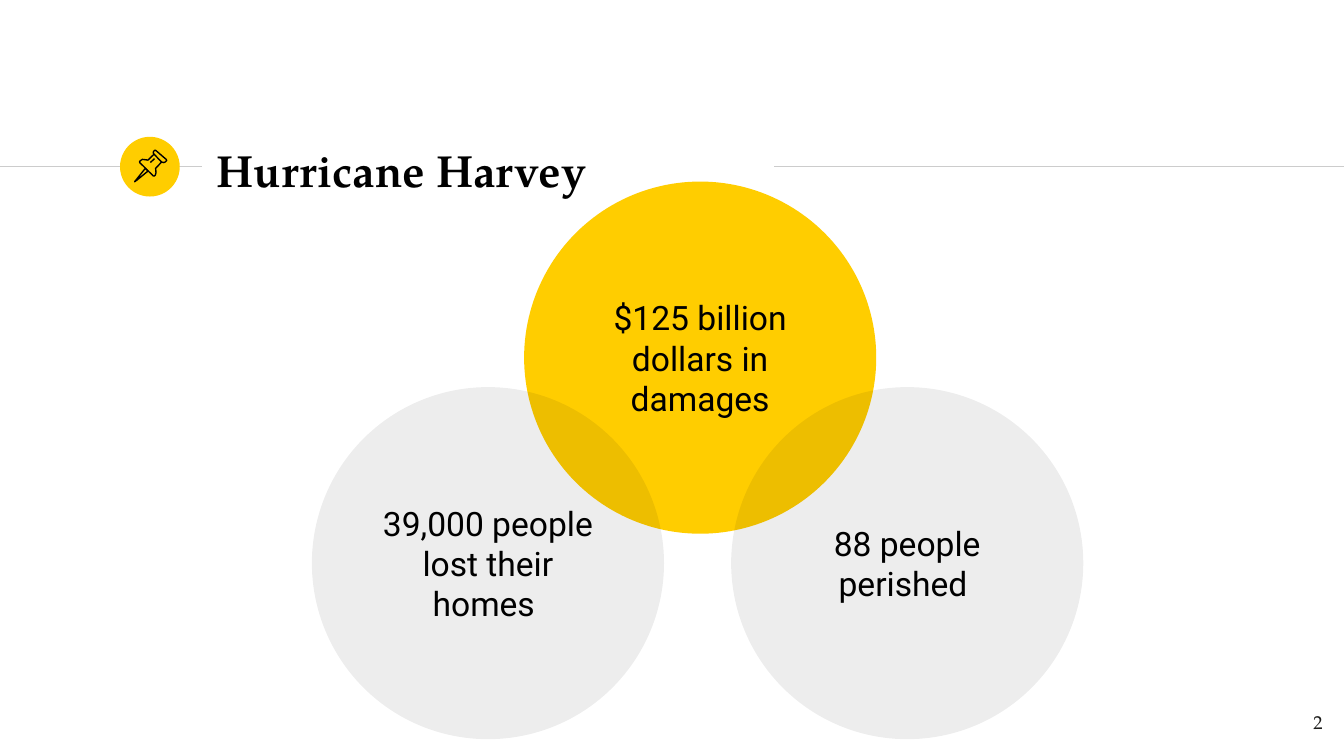
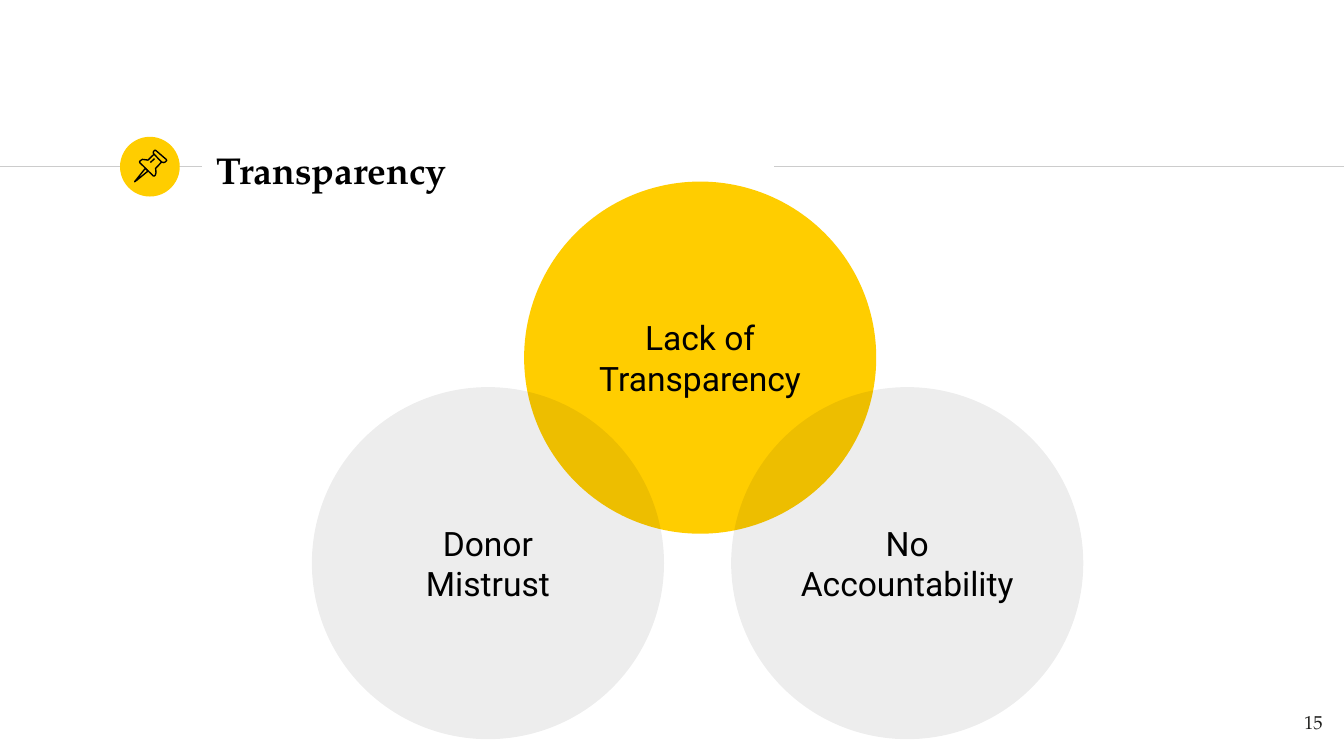
from dataclasses import dataclass

from lxml import etree
from pptx import Presentation
from pptx import util as u
from pptx.dml.color import RGBColor
from pptx.enum import shapes, text
from pptx.oxml.ns import qn


@dataclass(frozen=True)
class Theme:
    gold: str = "FFCD00"
    black: str = "000000"
    rule: str = "CCCCCC"
    ink: str = "1D1D1B"
    serif: str = "TeX Gyre Pagella"
    sans: str = "Roboto"
    body: float = 18
    small: float = 10
    thin: float = 0.75
    inset: float = 7.2
    tint: int = 7


T = Theme()
WIDTH, HEIGHT = 720, 405
AXIS = 89.3
BADGE = 32
CIRCLE = 188.64

# Circle centres: top, left, right
CENTRES = [(375.1, 191.6), (261.4, 301.7), (486, 301.7)]

# Pushpin outlines in points, each with a flag for a closed outline
PIN = [
    ([(77.9, 90.2), (72.8, 96.6), (72.1, 97.4), (73.3, 96.6), (79.3, 91.7)], True),
    ([(82.6, 82.6), (86.6, 86.8), (87.8, 87.1), (88.7, 86.7), (89.3, 86),
      (89.2, 85.5), (83.5, 80.6), (83, 80.5), (82.3, 81.1), (82.1, 81.9)], True),
    ([(82.6, 82.6), (79.3, 85.8), (78, 85.6), (76.3, 85.4), (75.2, 86.1),
      (74.8, 86.6), (74.9, 87.1), (82.2, 94.3), (82.7, 94.3), (83.3, 93.7),
      (83.6, 92.4), (83.4, 90.2), (86.6, 86.8)], False),
    ([(80.6, 87.1), (82.8, 85)], False),
]

SLIDES = [
    ("Hurricane Harvey", 24, "2",
     ["$125 billion dollars in damages",
      "39,000 people lost their homes ",
      "88 people perished "]),
    ("Transparency", 20, "15",
     ["Lack of Transparency", "Donor Mistrust", "No Accountability"]),
]


def color(code):
    return RGBColor.from_string(code)


def write(shape, words, size, face, hue, align, anchor, bold=False):
    frame = shape.text_frame
    frame.text = words
    frame.word_wrap = True
    frame.auto_size = text.MSO_AUTO_SIZE.NONE
    frame.vertical_anchor = anchor
    frame.margin_left = frame.margin_right = u.Pt(T.inset)
    frame.margin_top = frame.margin_bottom = u.Pt(T.inset)
    para = frame.paragraphs[0]
    para.alignment = align
    font = para.runs[0].font
    font.name, font.size, font.bold = face, u.Pt(size), bold
    font.color.rgb = color(hue)


def add_rule(slide, start, end):
    line = slide.shapes.add_connector(
        shapes.MSO_CONNECTOR.STRAIGHT,
        u.Pt(start), u.Pt(AXIS), u.Pt(end), u.Pt(AXIS))
    line.line.color.rgb = color(T.rule)
    line.line.width = u.Pt(T.thin)
    etree.SubElement(line._element.spPr, qn("a:effectLst"))


def add_disc(slide, x, y, size, hue, alpha=None):
    """Add a circle centred on x, y; alpha is its opacity in percent."""
    disc = slide.shapes.add_shape(
        shapes.MSO_SHAPE.OVAL,
        u.Pt(x - size / 2), u.Pt(y - size / 2), u.Pt(size), u.Pt(size))
    disc.shadow.inherit = False
    disc.line.fill.background()
    disc.fill.solid()
    disc.fill.fore_color.rgb = color(hue)
    if alpha is not None:
        tone = disc._element.spPr.find(".//" + qn("a:srgbClr"))
        etree.SubElement(tone, qn("a:alpha"), val=str(alpha * 1000))
    return disc


def add_pin(slide):
    group = slide.shapes.add_group_shape()
    for points, closed in PIN:
        spots = [(u.Pt(x), u.Pt(y)) for x, y in points]
        pen = group.shapes.build_freeform(*spots[0])
        pen.add_line_segments(spots[1:], close=closed)
        part = pen.convert_to_shape()
        part.shadow.inherit = False
        part.fill.background()
        part.line.color.rgb = color(T.black)
        part.line.width = u.Pt(T.thin)


def add_title(slide, words, size):
    title = slide.shapes.title
    title.left, title.top = u.Pt(108.7), u.Pt(73.4)
    title.width, title.height = u.Pt(305.3), u.Pt(34.6)
    write(title, words, size, T.serif, T.black,
          text.PP_ALIGN.LEFT, text.MSO_ANCHOR.MIDDLE, bold=True)


def add_trio(slide, labels):
    for i, ((x, y), label) in enumerate(zip(CENTRES, labels)):
        hue, alpha = (T.black, T.tint) if i else (T.gold, None)
        disc = add_disc(slide, x, y, CIRCLE, hue, alpha)
        write(disc, label, T.body, T.sans, T.black,
              text.PP_ALIGN.CENTER, text.MSO_ANCHOR.MIDDLE)


def add_number(slide, number):
    box = slide.shapes.add_textbox(
        u.Pt(672.5), u.Pt(373.7), u.Pt(43.2), u.Pt(31))
    write(box, number, T.small, T.serif, T.ink,
          text.PP_ALIGN.RIGHT, text.MSO_ANCHOR.TOP)


def add_slide(deck, title, size, number, labels):
    slide = deck.slides.add_slide(deck.slide_layouts[5])
    add_rule(slide, 0, 108)
    add_disc(slide, 80.3, AXIS, BADGE, T.gold)
    add_rule(slide, 414.7, WIDTH)
    add_title(slide, title, size)
    add_trio(slide, labels)
    add_pin(slide)
    add_number(slide, number)


def main():
    deck = Presentation()
    deck.slide_width, deck.slide_height = u.Pt(WIDTH), u.Pt(HEIGHT)
    for entry in SLIDES:
        add_slide(deck, *entry)
    deck.save("out.pptx")


if __name__ == "__main__":
    main()
